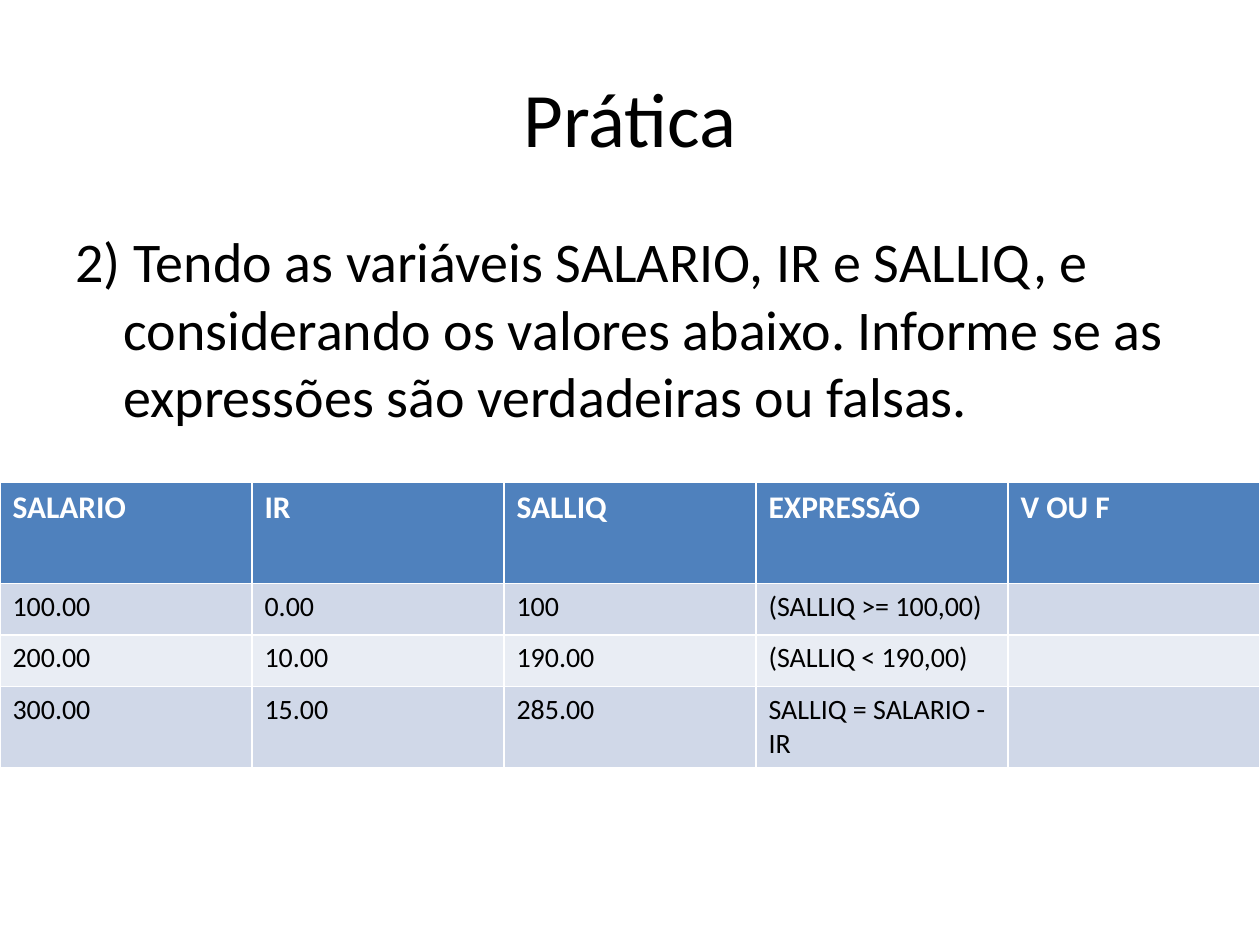
from pptx import Presentation
from pptx.dml.color import RGBColor
from pptx.enum.text import MSO_ANCHOR, PP_ALIGN
from pptx.oxml.xmlchemy import OxmlElement
from pptx.util import Inches, Pt


def style(para, size, color, bold=False):
    """Format every run of a paragraph."""
    for run in para.runs:
        font = run.font
        font.name = "Calibri"
        font.size = Pt(size)
        font.bold = bold
        font.color.rgb = RGBColor.from_string(color)


def place(shape, left, top, width, height):
    """Set the position and size of a shape in inches."""
    shape.left, shape.top = Inches(left), Inches(top)
    shape.width, shape.height = Inches(width), Inches(height)


deck = Presentation()
deck.slide_width, deck.slide_height = Inches(10), Inches(7.5)
slide = deck.slides.add_slide(deck.slide_layouts[1])

# Title
title = slide.shapes.title
place(title, 0.5, 0.3, 9, 1.25)
title.text_frame.text = "Prática"
title.text_frame.vertical_anchor = MSO_ANCHOR.MIDDLE
para = title.text_frame.paragraphs[0]
para.alignment = PP_ALIGN.CENTER
style(para, 44, "000000")

# Question, with a hanging indent and no bullet
body = slide.placeholders[1]
place(body, 0.5, 1.75, 9, 4.95)
body.text_frame.text = (
    "2) Tendo as variáveis SALARIO, IR e SALLIQ, e considerando os valores "
    "abaixo. Informe se as expressões são verdadeiras ou falsas."
)
para = body.text_frame.paragraphs[0]
style(para, 32, "000000")
props = para._p.get_or_add_pPr()
props.set("marL", str(Inches(0.38)))
props.set("indent", str(Inches(-0.38)))
props.append(OxmlElement("a:buNone"))

# Table; its built-in style draws the white borders
rows = [
    ["SALARIO", "IR ", "SALLIQ", "EXPRESSÃO", "V OU F"],
    ["100.00", "0.00", "100", "(SALLIQ >= 100,00)", ""],
    ["200.00", "10.00", "190.00", "(SALLIQ < 190,00) ", ""],
    ["300.00", "15.00", "285.00", "SALLIQ = SALARIO - IR", ""],
]
fills = ["4F81BD", "D0D8E8", "E9EDF4", "D0D8E8"]
frame = slide.shapes.add_table(
    len(rows), len(rows[0]), Inches(0), Inches(3.83), Inches(10), Inches(2.03)
)
table = frame.table
for r, texts in enumerate(rows):
    head = r == 0
    table.rows[r].height = Inches(0.8 if head else 0.41)
    for c, text in enumerate(texts):
        cell = table.cell(r, c)
        cell.fill.solid()
        cell.fill.fore_color.rgb = RGBColor.from_string(fills[r])
        if text:
            cell.text_frame.text = text
            style(cell.text_frame.paragraphs[0], 18 if head else 16,
                  "FFFFFF" if head else "000000", head)

deck.save("out.pptx")
